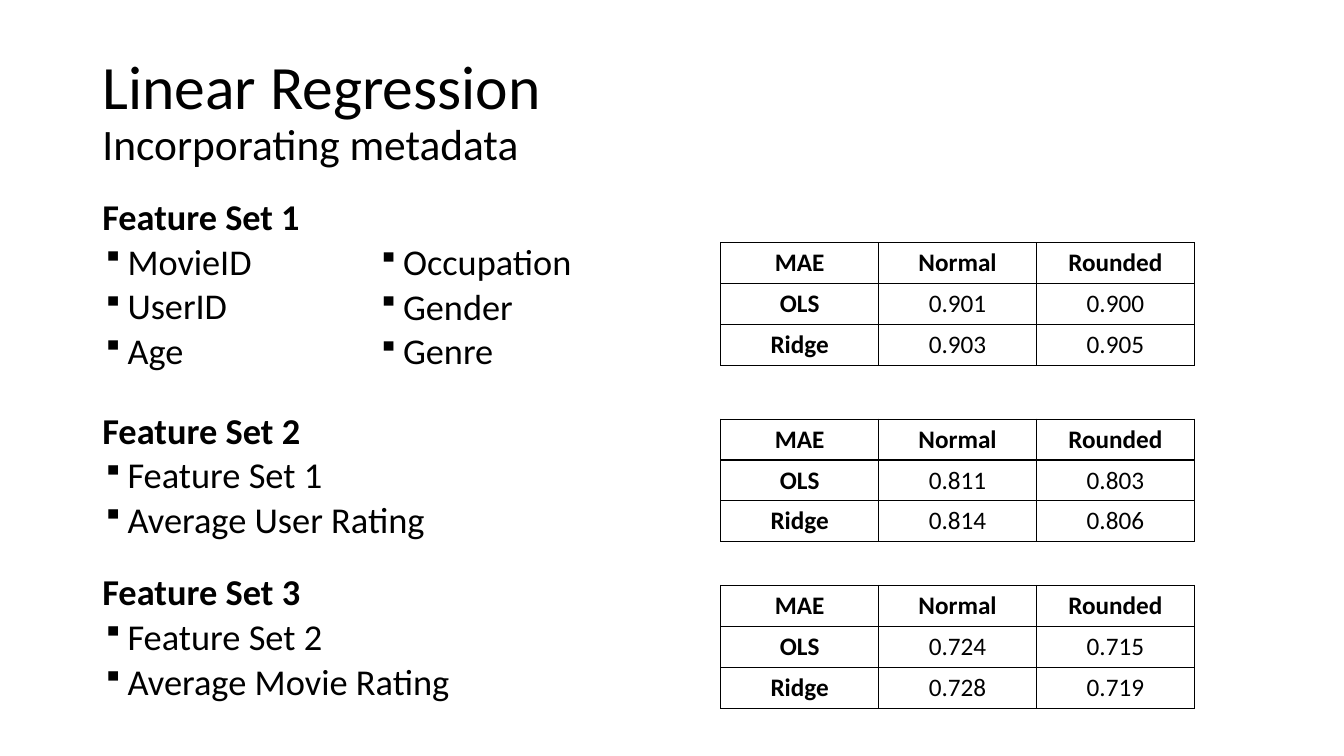
from dataclasses import dataclass

from lxml.etree import SubElement
from pptx import Presentation
from pptx.dml.color import RGBColor
from pptx.enum.text import MSO_ANCHOR as Anchor, MSO_AUTO_SIZE as AutoSize, PP_ALIGN as Align
from pptx.oxml.ns import qn
from pptx.util import Inches, Pt

COLORS = {"text": "000000", "border": "000000", "background": "FFFFFF"}
FONT = "Calibri"
GRID_COLUMNS, GRID_ROWS = 160, 90
LEFT_MARGIN = 11
TABLE_LEFT, CELL_WIDTH, CELL_HEIGHT = 85.8, 18.8, 4.87

presentation = Presentation()
presentation.slide_width, presentation.slide_height = Inches(13.33), Inches(7.5)


@dataclass
class Box:
    left: float
    top: float
    width: float
    height: float

    def lengths(self) -> list[int]:
        column = presentation.slide_width / GRID_COLUMNS
        row = presentation.slide_height / GRID_ROWS
        return [round(self.left * column), round(self.top * row),
                round(self.width * column), round(self.height * row)]


@dataclass
class FeatureList:
    heading: str
    features: list[str]
    space_before: float = 10


@dataclass
class FeatureBox:
    box: Box
    size: float
    lists: list[FeatureList]


@dataclass
class ErrorTable:
    top: float
    ols: list[str]
    ridge: list[str]


FEATURE_BOXES = [
    FeatureBox(Box(LEFT_MARGIN, 24, 32.8, 22.2), 25.9,
               [FeatureList("Feature Set 1", ["MovieID", "UserID", "Age"])]),
    FeatureBox(Box(43.8, 29.35, 35.2, 16.8), 25.9,
               [FeatureList("", ["Occupation", "Gender", "Genre"])]),
    FeatureBox(Box(LEFT_MARGIN, 49.4, 68, 35.5), 26,
               [FeatureList("Feature Set 2", ["Feature Set 1", "Average User Rating"]),
                FeatureList("Feature Set 3", ["Feature Set 2", "Average Movie Rating"], 30)]),
]
ERROR_TABLES = [
    ErrorTable(28.9, ["0.901", "0.900"], ["0.903", "0.905"]),
    ErrorTable(49.9, ["0.811", "0.803"], ["0.814", "0.806"]),
    ErrorTable(69.7, ["0.724", "0.715"], ["0.728", "0.719"]),
]


def add_run(paragraph, text: str, size: float, bold: bool = False) -> None:
    run = paragraph.add_run()
    run.text = text
    run.font.name, run.font.size, run.font.bold = FONT, Pt(size), bold
    run.font.color.rgb = RGBColor.from_string(COLORS["text"])


def add_bullet(paragraph) -> None:
    properties = paragraph._p.get_or_add_pPr()
    properties.set("marL", str(Inches(0.25)))
    properties.set("indent", str(-Inches(0.25)))
    SubElement(properties, qn("a:buSzPct")).set("val", "80000")
    SubElement(properties, qn("a:buChar")).set("char", "▪")


def add_title(slide) -> None:
    title = slide.shapes.title
    title.left, title.top, title.width, title.height = Box(LEFT_MARGIN, 4.8, 138, 17.4).lengths()
    frame = title.text_frame
    frame.auto_size, frame.vertical_anchor = AutoSize.NONE, Anchor.MIDDLE
    paragraph = frame.paragraphs[0]
    paragraph.alignment, paragraph.line_spacing = Align.LEFT, 0.9
    add_run(paragraph, "Linear Regression", 44)
    paragraph.add_line_break()
    add_run(paragraph, "Incorporating metadata", 31)


def add_feature_box(slide, feature_box: FeatureBox) -> None:
    frame = slide.shapes.add_textbox(*feature_box.box.lengths()).text_frame
    frame.word_wrap = True
    lines = []
    for feature_list in feature_box.lists:
        if feature_list.heading:
            lines.append((feature_list.heading, True, feature_list.space_before))
        lines += [(feature, False, 10) for feature in feature_list.features]
    for index, (text, heading, space_before) in enumerate(lines):
        paragraph = frame.add_paragraph() if index else frame.paragraphs[0]
        paragraph.line_spacing, paragraph.space_before = 0.7, Pt(space_before)
        if not heading:
            add_bullet(paragraph)
        add_run(paragraph, text, feature_box.size, heading)


def add_borders(cell) -> None:
    properties = cell._tc.get_or_add_tcPr()
    for position, side in enumerate(("a:lnL", "a:lnR", "a:lnT", "a:lnB")):
        line = properties.makeelement(qn(side), {"w": str(Pt(1))})
        fill = SubElement(line, qn("a:solidFill"))
        SubElement(fill, qn("a:srgbClr")).set("val", COLORS["border"])
        properties.insert(position, line)


def add_error_table(slide, error_table: ErrorTable) -> None:
    rows = [["MAE", "Normal", "Rounded"], ["OLS", *error_table.ols], ["Ridge", *error_table.ridge]]
    box = Box(TABLE_LEFT, error_table.top, CELL_WIDTH * len(rows[0]), CELL_HEIGHT * len(rows))
    table = slide.shapes.add_table(len(rows), len(rows[0]), *box.lengths()).table
    table.first_row = table.horz_banding = False
    for row_index, row in enumerate(rows):
        for column_index, text in enumerate(row):
            cell = table.cell(row_index, column_index)
            cell.fill.solid()
            cell.fill.fore_color.rgb = RGBColor.from_string(COLORS["background"])
            add_borders(cell)
            paragraph = cell.text_frame.paragraphs[0]
            paragraph.alignment = Align.CENTER
            add_run(paragraph, text, 18, row_index == 0 or column_index == 0)


slide = presentation.slides.add_slide(presentation.slide_layouts.get_by_name("Title Only"))
add_title(slide)
for feature_box in FEATURE_BOXES:
    add_feature_box(slide, feature_box)
for error_table in ERROR_TABLES:
    add_error_table(slide, error_table)
presentation.save("out.pptx")
